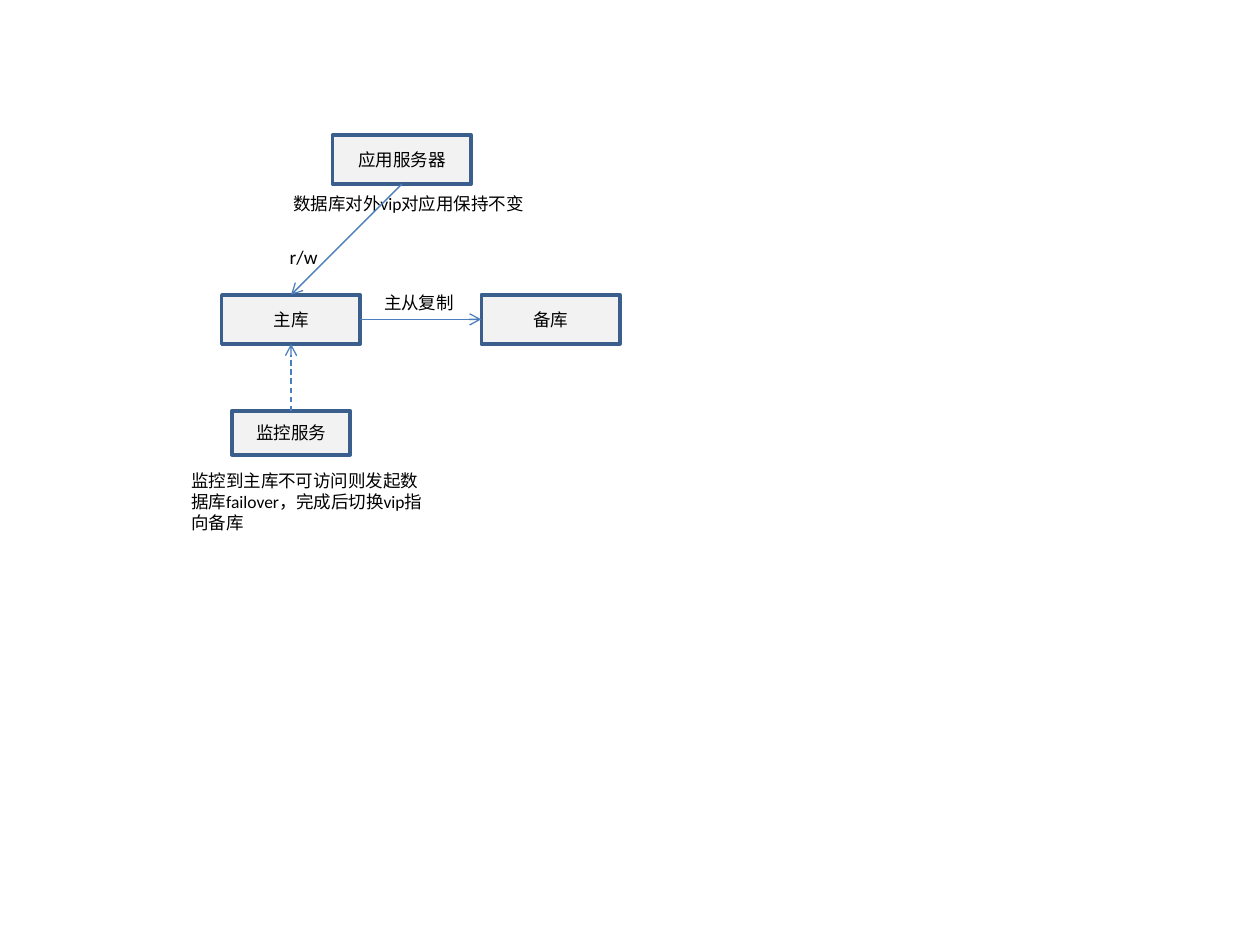
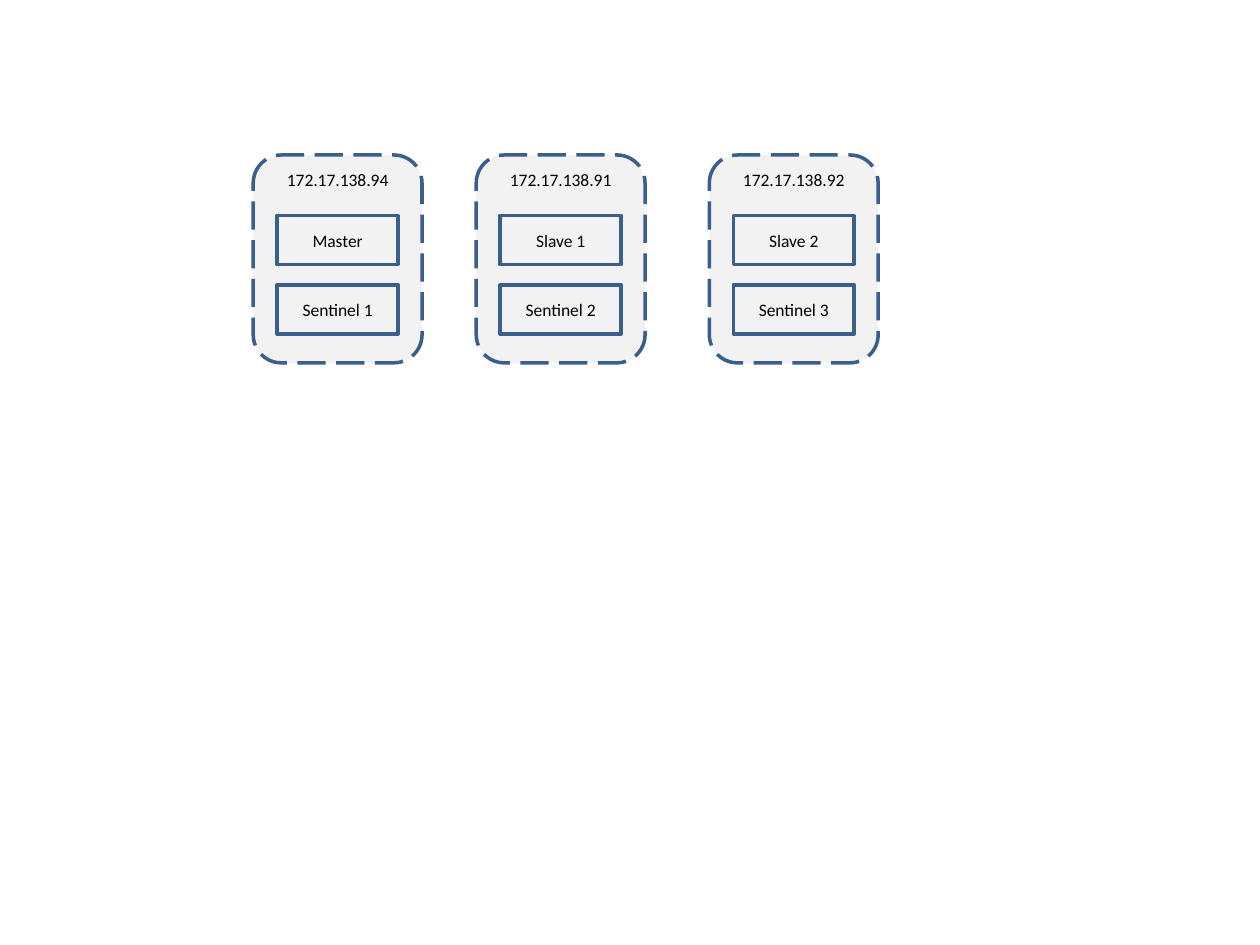
from dataclasses import dataclass

from lxml.etree import SubElement
from pptx import Presentation
from pptx.dml.color import RGBColor
from pptx.enum.dml import MSO_LINE as Dash
from pptx.enum.shapes import MSO_CONNECTOR as Connector, MSO_SHAPE as Shape
from pptx.enum.text import MSO_ANCHOR as Anchor, MSO_AUTO_SIZE as AutoSize, PP_ALIGN as Align
from pptx.oxml.ns import qn
from pptx.util import Inches, Pt


@dataclass(frozen=True)
class Theme:
    font: str = "Calibri"
    text: RGBColor = RGBColor(0, 0, 0)
    fill: RGBColor = RGBColor(0xF2, 0xF2, 0xF2)
    border: RGBColor = RGBColor(0x3A, 0x5F, 0x8C)
    arrow: RGBColor = RGBColor(0x4B, 0x7E, 0xBC)
    body: float = 10
    access: float = 11
    border_width: float = 2
    arrow_width: float = 0.75


THEME = Theme()
TOP, LEFT, BOTTOM, RIGHT = range(4)


def apply(target, formats):
    for name, value in formats.items():
        setattr(target, name, value)


def write(frame, text, size=THEME.body, align=None):
    paragraph = frame.paragraphs[0]
    paragraph.alignment = align
    run = paragraph.add_run()
    run.text = text
    apply(run.font, {"name": THEME.font, "size": Pt(size)})
    run.font.color.rgb = THEME.text


def style_line(line, color, width, dash=None):
    line.color.rgb = color
    apply(line, {"width": Pt(width), "dash_style": dash})


def add_node(slide, text, left, top, width, height,
             outline=Shape.RECTANGLE, anchor=Anchor.MIDDLE, dash=None):
    node = slide.shapes.add_shape(outline, *map(Inches, (left, top, width, height)))
    node.shadow.inherit = False
    node.fill.solid()
    node.fill.fore_color.rgb = THEME.fill
    style_line(node.line, THEME.border, THEME.border_width, dash)
    apply(node.text_frame, {"word_wrap": True, "vertical_anchor": anchor})
    write(node.text_frame, text, align=Align.CENTER)
    return node


def add_label(slide, text, left, top, width, height, size=THEME.body):
    label = slide.shapes.add_textbox(*map(Inches, (left, top, width, height)))
    apply(label.text_frame, {"word_wrap": True, "auto_size": AutoSize.SHAPE_TO_FIT_TEXT})
    write(label.text_frame, text, size)


def add_arrow(slide, source, source_side, target, target_side, dash=None):
    arrow = slide.shapes.add_connector(Connector.STRAIGHT, 0, 0, 0, 0)
    arrow.begin_connect(source, source_side)
    arrow.end_connect(target, target_side)
    style_line(arrow.line, THEME.arrow, THEME.arrow_width, dash)
    properties = arrow._element.spPr
    SubElement(properties.find(qn("a:ln")), qn("a:tailEnd"), type="arrow")
    SubElement(properties, qn("a:effectLst"))


def build_failover(slide):
    width, height, database_top = 1.1, 0.39, 2.34
    application = add_node(slide, "应用服务器", 2.64, 1.07, width, height)
    primary = add_node(slide, "主库", 1.76, database_top, width, height)
    standby = add_node(slide, "备库", 3.82, database_top, width, height)
    add_label(slide, "数据库对外vip对应用保持不变", 2.23, 1.48, 2.13, 0.27)
    add_arrow(slide, application, BOTTOM, primary, TOP)
    add_label(slide, "r/w", 2.2, 1.9, 0.55, 0.29, THEME.access)
    add_arrow(slide, primary, RIGHT, standby, LEFT)
    add_label(slide, "主从复制", 2.95, 2.27, 0.9, 0.27)
    monitor = add_node(slide, "监控服务", 1.84, 3.26, 0.94, 0.35)
    add_arrow(slide, monitor, TOP, primary, BOTTOM, Dash.DASH)
    add_label(slide, "监控到主库不可访问则发起数据库failover，完成后切换vip指向备库",
              1.42, 3.68, 2.13, 0.61)


def build_sentinels(slide):
    hosts = [
        (2.01, "172.17.138.94", "Master"),
        (3.78, "172.17.138.91", "Slave 1"),
        (5.63, "172.17.138.92", "Slave 2"),
    ]
    host_width, service_width = 1.34, 0.96
    inset = (host_width - service_width) / 2
    for number, (left, address, role) in enumerate(hosts, 1):
        add_node(slide, address, left, 1.23, host_width, 1.65,
                 Shape.ROUNDED_RECTANGLE, Anchor.TOP, Dash.LONG_DASH)
        for top, service in ((1.71, role), (2.26, f"Sentinel {number}")):
            add_node(slide, service, left + inset, top, service_width, 0.39)


def main():
    deck = Presentation()
    apply(deck, {"slide_width": Inches(10), "slide_height": Inches(7.5)})
    blank = deck.slide_layouts[6]
    for build in (build_failover, build_sentinels):
        build(deck.slides.add_slide(blank))
    deck.save("out.pptx")


main()
